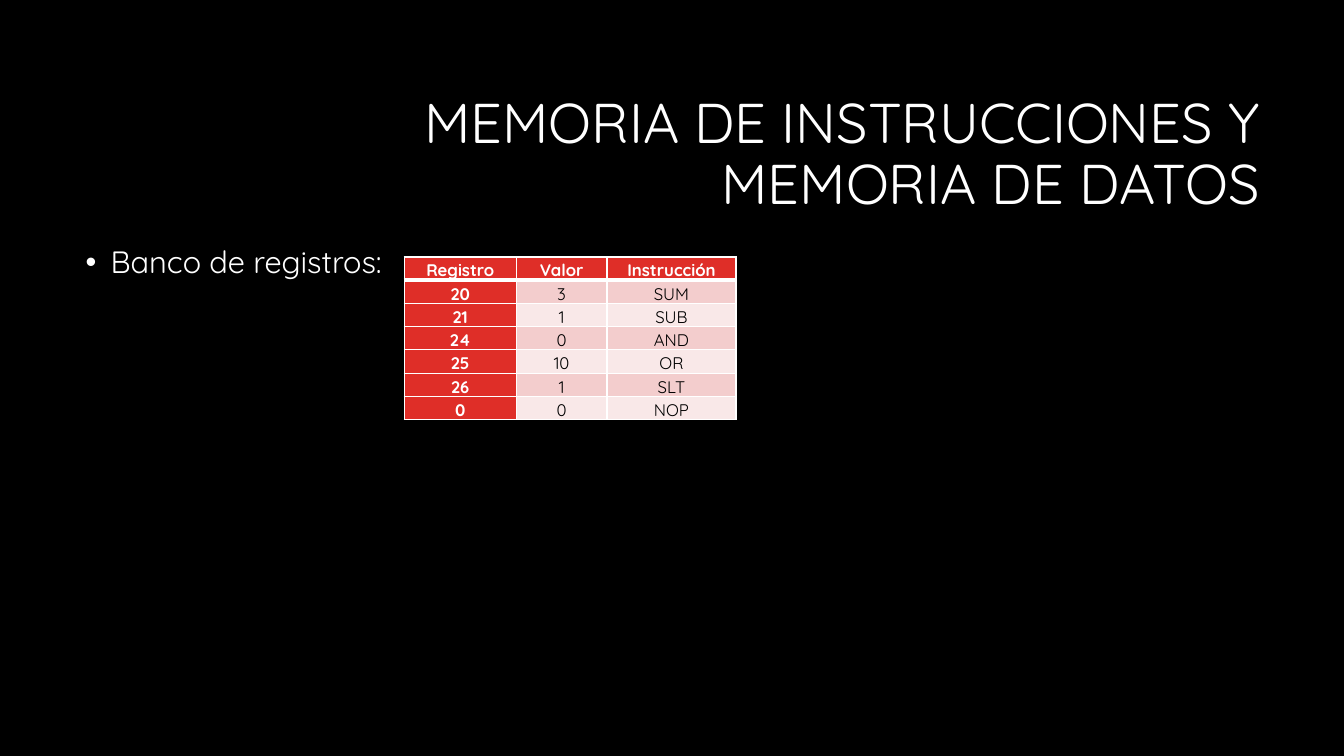
from lxml import etree
from pptx import Presentation
from pptx.dml.color import RGBColor
from pptx.enum.text import MSO_ANCHOR, PP_ALIGN
from pptx.oxml.ns import qn
from pptx.util import Inches, Pt

LEFT, CENTER, RIGHT = PP_ALIGN.LEFT, PP_ALIGN.CENTER, PP_ALIGN.RIGHT
TOP, MIDDLE = MSO_ANCHOR.TOP, MSO_ANCHOR.MIDDLE

BLACK = RGBColor(0x00, 0x00, 0x00)
WHITE = RGBColor(0xFF, 0xFF, 0xFF)
RED = RGBColor(0xDF, 0x2E, 0x28)
BANDS = (RGBColor(0xF3, 0xCD, 0xCD), RGBColor(0xF9, 0xE8, 0xE8))

REGISTERS = [
    ("Registro", "Valor", "Instrucción"),
    ("20", "3", "SUM"),
    ("21", "1", "SUB"),
    ("24", "0", "AND"),
    ("25", "10", "OR"),
    ("26", "1", "SLT"),
    ("0", "0", "NOP"),
]


def apply(target, values):
    for name, value in values.items():
        setattr(target, name, value)


class RegisterSlide:
    font_name = "Quicksand"

    def __init__(self, presentation):
        self.slide = presentation.slides.add_slide(presentation.slide_layouts[6])
        background = self.slide.background.fill
        background.solid()
        background.fore_color.rgb = BLACK

    def fill_paragraph(self, paragraph, text, size, color, bold=False, **spacing):
        run = paragraph.add_run()
        run.text = text
        apply(run.font, {"name": self.font_name, "size": Pt(size), "bold": bold})
        run.font.color.rgb = color
        apply(paragraph, spacing)

    def text(self, box, text, size, anchor=TOP, **spacing):
        frame = self.slide.shapes.add_textbox(*map(Inches, box)).text_frame
        apply(frame, {"word_wrap": True, "vertical_anchor": anchor})
        paragraph = frame.paragraphs[0]
        self.fill_paragraph(paragraph, text, size, WHITE, line_spacing=0.9, **spacing)
        return paragraph

    def bullet(self, box, text, size):
        paragraph = self.text(box, text, size, alignment=LEFT, space_before=Pt(10))
        properties = paragraph._p.get_or_add_pPr()
        properties.set("marL", str(Inches(0.25)))
        properties.set("indent", str(Inches(-0.25)))
        etree.SubElement(properties, qn("a:buFont"), typeface="Arial")
        etree.SubElement(properties, qn("a:buChar"), char="•")

    def borders(self, cell, widths):
        properties = cell._tc.get_or_add_tcPr()
        for side, width in widths.items():
            line = etree.SubElement(properties, qn(f"a:ln{side}"), w=str(Pt(width)))
            fill = etree.SubElement(line, qn("a:solidFill"))
            etree.SubElement(fill, qn("a:srgbClr"), val=str(WHITE))

    def table(self, box, rows, column_widths):
        table = self.slide.shapes.add_table(
            len(rows), len(column_widths), *map(Inches, box)).table
        apply(table, {"first_row": True, "first_col": True, "horz_banding": True})
        for column, width in zip(table.columns, column_widths):
            column.width = Inches(width)
        for r, row in enumerate(rows):
            for c, value in enumerate(row):
                self.cell(table.cell(r, c), value, r, c)

    def cell(self, cell, value, r, c):
        heading = r == 0 or c == 0
        apply(cell, {"margin_left": Inches(0.07), "margin_right": Inches(0.07),
                     "margin_top": 0, "margin_bottom": 0})
        # Heavy rule between the header and the first register
        self.borders(cell, {"L": 1, "R": 1, "T": 3 if r == 1 else 1,
                            "B": 3 if r == 0 else 1})
        cell.fill.solid()
        cell.fill.fore_color.rgb = RED if heading else BANDS[(r - 1) % 2]
        self.fill_paragraph(cell.text_frame.paragraphs[0], value, 12,
                            WHITE if heading else BLACK, heading,
                            alignment=CENTER, line_spacing=1.15, space_after=Pt(10))


def main():
    presentation = Presentation()
    apply(presentation, {"slide_width": Inches(13.33), "slide_height": Inches(7.5)})
    page = RegisterSlide(presentation)

    # Title
    page.text((3.17, 0.84, 9.42, 1.41), "MEMORIA DE INSTRUCCIONES Y MEMORIA DE DATOS",
              40, MIDDLE, alignment=RIGHT)

    # Register bank
    page.bullet((0.75, 2.4, 11.83, 4.4), "Banco de registros:", 22)
    page.table((4.01, 2.55, 3.29, 1.61), REGISTERS, (1.11, 0.9, 1.28))

    presentation.save("out.pptx")


if __name__ == "__main__":
    main()
